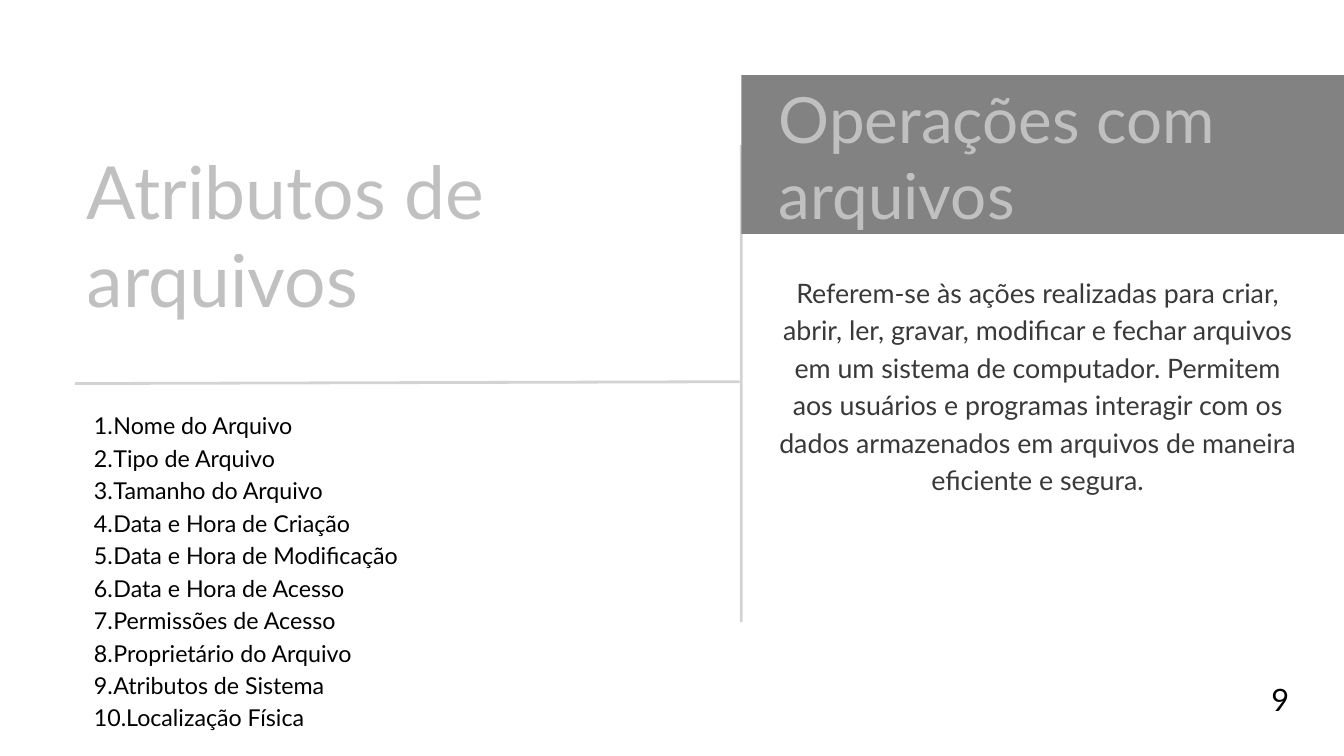
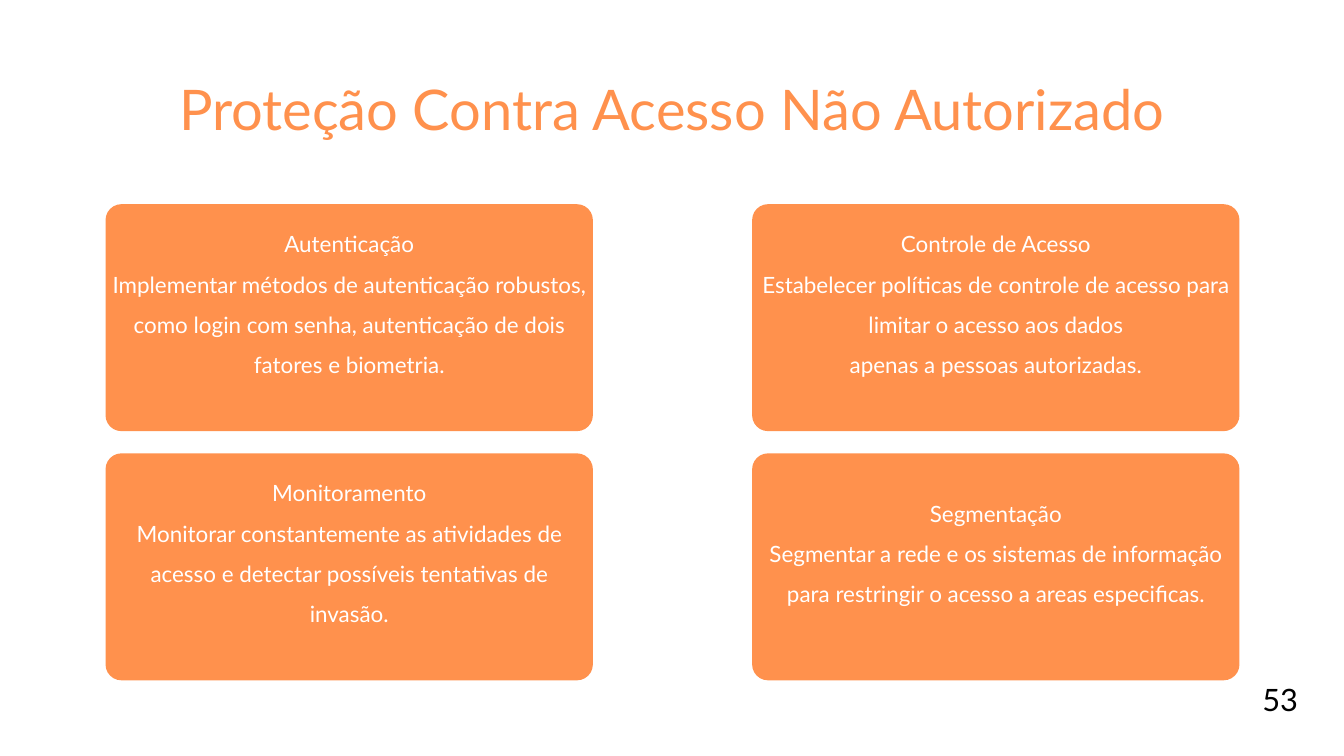
from collections import namedtuple

from lxml import etree
from pptx import Presentation
from pptx import util as u
from pptx.dml import color
from pptx.enum import shapes, text
from pptx.oxml import ns

COLORS = {
    "gray": "828282",
    "orange": "FF914D",
    "ink": "393939",
    "black": "000000",
    "white": "FFFFFF",
}
FONT = "Lato"
CENTER = text.PP_ALIGN.CENTER
PAGE_NUMBER_CENTER = 48.39

ATTRIBUTES = [
    "Nome do Arquivo",
    "Tipo de Arquivo",
    "Tamanho do Arquivo",
    "Data e Hora de Criação",
    "Data e Hora de Modificação",
    "Data e Hora de Acesso",
    "Permissões de Acesso",
    "Proprietário do Arquivo",
    "Atributos de Sistema",
    "Localização Física",
]
OPERATIONS = (
    "Referem-se às ações realizadas para criar, abrir, ler, gravar, modificar "
    "e fechar arquivos em um sistema de computador. Permitem aos usuários e "
    "programas interagir com os dados armazenados em arquivos de maneira "
    "eficiente e segura."
)
PROTECTIONS = [
    ["Autenticação",
     "Implementar métodos de autenticação robustos, como login com senha, "
     "autenticação de dois fatores e biometria."],
    ["Controle de Acesso",
     "Estabelecer políticas de controle de acesso para limitar o acesso aos dados",
     "apenas a pessoas autorizadas."],
    ["Monitoramento",
     "Monitorar constantemente as atividades de acesso e detectar possíveis "
     "tentativas de invasão."],
    ["Segmentação",
     "Segmentar a rede e os sistemas de informação para restringir o acesso "
     "a areas especificas."],
]


class Box(namedtuple("Box", "left top width height")):
    def inside(self, left, top, width, height):
        return Box(self.left + left, self.top + top, width, height)

    def lengths(self):
        return [u.Cm(value) for value in self]


def paint(fill, name, opacity=100):
    fill.solid()
    fill.fore_color.rgb = color.RGBColor.from_string(COLORS[name])
    if opacity < 100:
        for value in fill._xPr.iter(ns.qn("a:srgbClr")):
            etree.SubElement(value, ns.qn("a:alpha"), val=str(opacity * 1000))


def number_paragraph(para):
    properties = para._p.get_or_add_pPr()
    properties.set("marL", str(u.Cm(1.5)))
    properties.set("indent", str(u.Cm(-0.74)))
    etree.SubElement(properties, ns.qn("a:buFont"), typeface="+mj-lt")
    etree.SubElement(properties, ns.qn("a:buAutoNum"), type="arabicPeriod")


def add_text(page, box, lines, size, leading, ink, opacity=100, align=None,
             anchor=text.MSO_ANCHOR.TOP, inset=0, numbered=False):
    frame = page.shapes.add_textbox(*box.lengths()).text_frame
    frame.word_wrap = True
    frame.vertical_anchor = anchor
    frame.margin_left = frame.margin_right = u.Cm(inset)
    frame.margin_top = frame.margin_bottom = u.Cm(inset)
    for index, line in enumerate(lines):
        para = frame.add_paragraph() if index else frame.paragraphs[0]
        para.alignment = align
        para.line_spacing = u.Pt(leading)
        if numbered:
            number_paragraph(para)
        span = para.add_run()
        span.text = line
        span.font.name = FONT
        span.font.size = u.Pt(size)
        paint(span.font.fill, ink, opacity)


def add_panel(page, box, kind, name):
    panel = page.shapes.add_shape(kind, *box.lengths())
    panel.shadow.inherit = False
    paint(panel.fill, name)
    panel.line.fill.background()
    return panel


def add_rule(page, box):
    left, top, width, height = box
    rule = page.shapes.add_connector(
        shapes.MSO_CONNECTOR.STRAIGHT, u.Cm(left), u.Cm(top),
        u.Cm(left + width), u.Cm(top + height))
    rule.line.width = u.Pt(3)
    paint(rule.line.fill, "gray", 35)
    etree.SubElement(rule._element.spPr, ns.qn("a:effectLst"))


def add_page_number(page, number):
    width = 0.76 * len(number)
    box = Box(PAGE_NUMBER_CENTER - width / 2, 25.5, width, 1.6)
    add_text(page, box, [number], 33, 46.2, "black", align=CENTER)


def add_attributes(page, box):
    add_rule(page, box.inside(0, 8.96, box.width, -0.07))
    add_text(page, box.inside(-0.05, 9.85, 18.9, 13), ATTRIBUTES,
             24.9, 34.8, "black", numbered=True)
    add_text(page, box.inside(0.44, 0, 25.1, 6.65), ["Atributos de arquivos"],
             78.5, 94.2, "gray", opacity=50)


def add_operations(page, box):
    add_rule(page, box.inside(0, 2.65, 0, box.height - 2.65))
    add_panel(page, box.inside(0, 0, box.width, 6),
              shapes.MSO_SHAPE.RECTANGLE, "gray")
    add_text(page, box.inside(1.42, 7.4, 19.56, 11.1), [OPERATIONS],
             28.7, 40.2, "ink", align=CENTER)
    add_text(page, box.inside(1.42, 0.16, 21.82, 5.72),
             ["Operações com arquivos"], 68.3, 82, "white", opacity=50)


def add_card(page, box, lines):
    rise = 1.52
    card = add_panel(page, box, shapes.MSO_SHAPE.ROUNDED_RECTANGLE, "orange")
    card.adjustments[0] = 0.07
    add_text(page, box.inside(0, -rise, box.width, box.height + rise), lines,
             24, 43.2, "white", align=CENTER,
             anchor=text.MSO_ANCHOR.MIDDLE, inset=0.15)


def add_card_grid(page, box, cards, columns=2, gap_x=6.02, gap_y=0.84):
    rows = len(cards) // columns
    width = (box.width - gap_x * (columns - 1)) / columns
    height = (box.height - gap_y * (rows - 1)) / rows
    for index, lines in enumerate(cards):
        row, column = divmod(index, columns)
        add_card(page, box.inside(column * (width + gap_x),
                                  row * (height + gap_y), width, height), lines)


def add_files_page(page):
    add_attributes(page, Box(2.84, 5.54, 25.12, 22.86))
    add_operations(page, Box(28.02, 2.84, 23.83, 20.68))
    add_page_number(page, "9")


def add_protection_page(page):
    add_text(page, Box(2.84, 2.82, 45.1, 2.57),
             ["Proteção Contra Acesso Não Autorizado"],
             60, 72, "orange", align=CENTER)
    add_card_grid(page, Box(3.99, 7.72, 42.86, 18), PROTECTIONS)
    add_page_number(page, "53")


def main():
    deck = Presentation()
    deck.slide_width, deck.slide_height = u.Cm(50.8), u.Cm(28.58)
    for fill_page in (add_files_page, add_protection_page):
        fill_page(deck.slides.add_slide(deck.slide_layouts[6]))
    deck.save("out.pptx")


if __name__ == "__main__":
    main()
